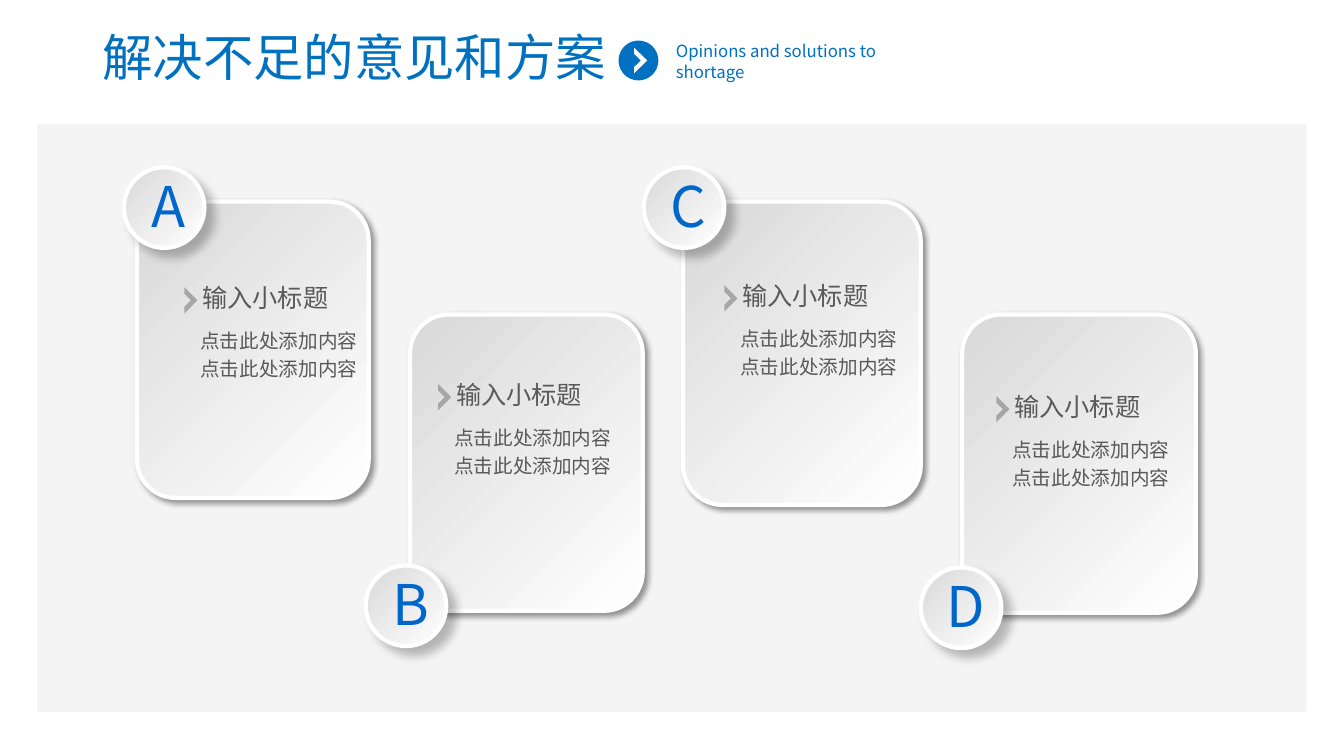
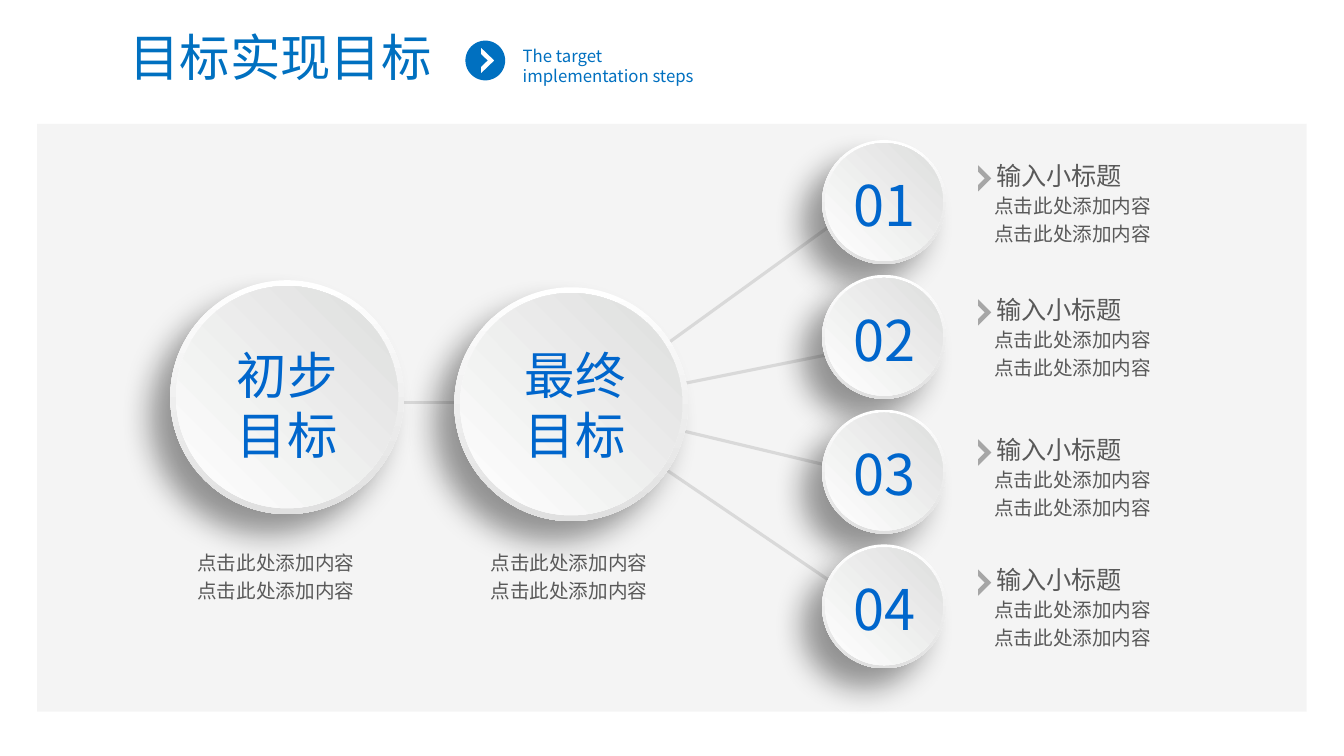
import math

import pptx
import pptx.dml.color
import pptx.enum.shapes
import pptx.enum.text
import pptx.oxml.ns
import pptx.util
from lxml import etree

# Grid: 133.4 columns by 75 rows of square cells
CELL = pptx.util.Inches(0.1)
COLUMNS, ROWS = 133.4, 75

# Shared style
RGB = pptx.dml.color.RGBColor
TITLE_BLUE = RGB(0x00, 0x70, 0xC0)
LABEL_BLUE = RGB(0x00, 0x66, 0xCC)
TEXT_GREY = RGB(0x59, 0x59, 0x59)
CHEVRON_GREY = RGB(0xA6, 0xA6, 0xA6)
LINE_GREY = RGB(0xD9, 0xD9, 0xD9)
RIM_GREY = RGB(0xE0, 0xE0, 0xE0)
FACE_GREY = RGB(0xDD, 0xDE, 0xDD)
PANEL_GREY = RGB(0xF2, 0xF2, 0xF2)
WHITE = RGB(0xFF, 0xFF, 0xFF)
FONT = "Noto Sans CJK SC"

TITLE = {"size": pptx.util.Pt(36), "color": TITLE_BLUE}
SUBTITLE = {"size": pptx.util.Pt(12), "color": TITLE_BLUE}
GOAL = {"size": pptx.util.Pt(36), "color": LABEL_BLUE}
MARK = {"size": pptx.util.Pt(40), "color": LABEL_BLUE}
HEADING = {"size": pptx.util.Pt(18), "color": TEXT_GREY}
BODY = {"size": pptx.util.Pt(14), "color": TEXT_GREY}

CENTER = {"alignment": pptx.enum.text.PP_ALIGN.CENTER}
BODY_LINES = {"line_spacing": pptx.util.Pt(20)}

# Shadows: opacity in percent, blur and distance in points, direction in degrees
CARD_SHADOW = (40, 4, 3, 45)
BUTTON_SHADOW = (25, 7, 8, 45)
DISC_SHADOW = (40, 22, 20, 135)

SHAPES = pptx.enum.shapes.MSO_SHAPE
HEADING_TEXT = "输入小标题"
BODY_TEXT = ["点击此处添加内容"] * 2


def grid(*cells):
    return [round(cell * CELL) for cell in cells]


def add_xml(parent, tag, **values):
    child = etree.SubElement(parent, pptx.oxml.ns.qn(tag))
    for name, value in values.items():
        child.set(name, str(value))
    return child


def add_text(page, place, lines, style, layout=None, wrap=True):
    box = page.shapes.add_textbox(*grid(*place))
    frame = box.text_frame
    frame.word_wrap = wrap
    frame.auto_size = pptx.enum.text.MSO_AUTO_SIZE.SHAPE_TO_FIT_TEXT
    for index, line in enumerate(lines):
        para = frame.add_paragraph() if index else frame.paragraphs[0]
        for name, value in (layout or {}).items():
            setattr(para, name, value)
        span = para.add_run()
        span.text = line
        span.font.size = style["size"]
        span.font.color.rgb = style["color"]
        span.font.name = FONT
        add_xml(span._r.get_or_add_rPr(), "a:ea", typeface=FONT)


def add_plain(page, kind, place, color, opacity):
    shape = page.shapes.add_shape(kind, *grid(*place))
    shape.shadow.inherit = False
    shape.fill.solid()
    shape.fill.fore_color.rgb = color
    shape.line.fill.background()
    tint = shape._element.spPr.find(".//" + pptx.oxml.ns.qn("a:srgbClr"))
    add_xml(tint, "a:alpha", val=opacity * 1000)


def add_raised(page, kind, place, colors, angle, rim=None, shadow=None):
    """Shape with a two-colour gradient running clockwise from the x axis."""
    shape = page.shapes.add_shape(kind, *grid(*place))
    shape.fill.gradient()
    shape.fill.gradient_angle = 360 - angle
    for stop, color, position in zip(shape.fill.gradient_stops, colors, (0, 1)):
        stop.color.rgb = color
        stop.position = position
    if rim is None:
        shape.line.fill.background()
    else:
        shape.line.color.rgb = rim
        shape.line.width = pptx.util.Pt(3)
    shape.shadow.inherit = False
    if shadow:
        opacity, blur, distance, direction = shadow
        effects = shape._element.spPr.find(pptx.oxml.ns.qn("a:effectLst"))
        outer = add_xml(effects, "a:outerShdw", blurRad=pptx.util.Pt(blur),
                        dist=pptx.util.Pt(distance), dir=direction * 60000,
                        algn="ctr", rotWithShape=0)
        tint = add_xml(outer, "a:srgbClr", val="000000")
        add_xml(tint, "a:alpha", val=opacity * 1000)


def add_outline(page, contours, color):
    builder = None
    for contour in contours:
        start, *rest = [grid(*point) for point in contour]
        if builder is None:
            builder = page.shapes.build_freeform(*start)
        else:
            builder.move_to(*start)
        builder.add_line_segments(rest, close=True)
    shape = builder.convert_to_shape()
    shape.shadow.inherit = False
    shape.fill.solid()
    shape.fill.fore_color.rgb = color
    shape.line.fill.background()


def chevron(left, top, width, height):
    middle, arm = top + height / 2, height / 4
    return [(left, top), (left + width, middle), (left, top + height),
            (left, top + height - arm), (left + width / 2, middle),
            (left, top + arm)]


def add_link(page, start, end):
    link = page.shapes.add_connector(
        pptx.enum.shapes.MSO_CONNECTOR.STRAIGHT, *grid(*start, *end))
    link.line.color.rgb = LINE_GREY
    link.line.width = pptx.util.Pt(2.25)
    add_xml(link._element.spPr, "a:effectLst")


def add_header(page, title, title_width, badge_left, subtitle, place):
    radius, middle = 1.97, 6
    center = badge_left + radius
    turns = [math.radians(degrees) for degrees in range(0, 360, 5)]
    circle = [(center + radius * math.cos(turn), middle + radius * math.sin(turn))
              for turn in turns]
    add_outline(page, [circle, chevron(center - 0.45, 4.7, 1.35, 2.6)], TITLE_BLUE)
    add_text(page, place, [subtitle], SUBTITLE)
    add_text(page, (7.6, 2.1, title_width, 7.1), [title], TITLE, CENTER)
    # Pale panel behind the content
    margin, top = 3.7, 12.3
    add_plain(page, SHAPES.RECTANGLE,
              (margin, top, COLUMNS - 2 * margin, ROWS - top - 4.4), PANEL_GREY, 78)


def add_entry(page, left, top, body_drop):
    add_text(page, (left + 0.6, top + body_drop, 17.8, 6.6),
             BODY_TEXT, BODY, BODY_LINES)
    add_outline(page, [chevron(left, top, 1.3, 2.6)], CHEVRON_GREY)
    add_text(page, (left + 0.8, top - 1, 15.3, 4), [HEADING_TEXT], HEADING)


def add_card(page, letter, card, button, entry):
    add_raised(page, SHAPES.ROUNDED_RECTANGLE, card, (WHITE, LINE_GREY), 225,
               WHITE, CARD_SHADOW)
    left, top = button
    add_raised(page, SHAPES.OVAL, (left, top, 8, 8), (LINE_GREY, WHITE), 45,
               WHITE, BUTTON_SHADOW)
    add_text(page, (left + 1.45, top - 0.1, 6, 7.7), [letter], MARK, CENTER, wrap=False)
    add_entry(page, *entry, body_drop=3.2)


def add_disc(page, left, top, size):
    add_raised(page, SHAPES.OVAL, (left, top, size, size), (WHITE, RIM_GREY), 90,
               shadow=DISC_SHADOW)
    face = size * 0.95
    inset = (size - face) / 2
    add_raised(page, SHAPES.OVAL, (left + inset, top + inset, face, face),
               (WHITE, FACE_GREY), 315)


def build_solutions(page):
    add_header(page, "解决不足的意见和方案", 55.1, 61.4,
               "Opinions and solutions to shortage", (66.1, 3.6, 25, 5))
    cards = [
        ("A", (13.6, 20, 23, 29.4), (12.3, 16.6), (18.3, 28.5)),
        ("B", (40.7, 31.2, 23.1, 29.4), (36.3, 56.1), (43.5, 38.1)),
        ("C", (67.8, 20, 23.6, 30.1), (63.9, 16.6), (71.9, 28.3)),
        ("D", (95.5, 31.2, 23.2, 29.6), (91.4, 56.3), (98.9, 39.3)),
    ]
    for card in cards:
        add_card(page, *card)


def build_goals(page):
    add_header(page, "目标实现目标", 40.5, 46.2,
               "The target implementation steps", (50.9, 4, 21.3, 5))

    # Links run under the discs
    links = [
        ((48.2, 39.9), (37, 39.9)),
        ((83.5, 21.6), (57.1, 40.7)),
        ((85.6, 34.5), (57.1, 40.2)),
        ((85.6, 47), (57.1, 40.2)),
        ((83.5, 58.4), (56.7, 40.2)),
    ]
    for start, end in links:
        add_link(page, start, end)

    # Numbered steps
    for index, entry_top in enumerate((16.4, 29.7, 43.6, 56.5)):
        top = 13.9 + index * 13.37
        add_disc(page, 81.6, top, 12.3)
        add_text(page, (83.5, top + 2.5, 8.6, 7.7), [f"{index + 1:02}"],
                 MARK, CENTER, wrap=False)
        add_entry(page, 97.1, entry_top, body_drop=1.9)

    # Goals with their captions
    goals = [
        (["初步", "目标"], (16.9, 27.8), 21.4, 18.6),
        (["最终目标"], (45.1, 28.5), 50, 47.7),
    ]
    for lines, corner, text_left, caption_left in goals:
        add_disc(page, *corner, 23.2)
        add_text(page, (text_left, 33.6, 14.2, 13.1), lines, GOAL, CENTER)
        add_text(page, (caption_left, 53.7, 17.8, 6.6), BODY_TEXT, BODY, BODY_LINES)


def main():
    deck = pptx.Presentation()
    deck.slide_width, deck.slide_height = grid(COLUMNS, ROWS)
    for build in (build_solutions, build_goals):
        build(deck.slides.add_slide(deck.slide_layouts[6]))
    deck.save("out.pptx")


if __name__ == "__main__":
    main()
